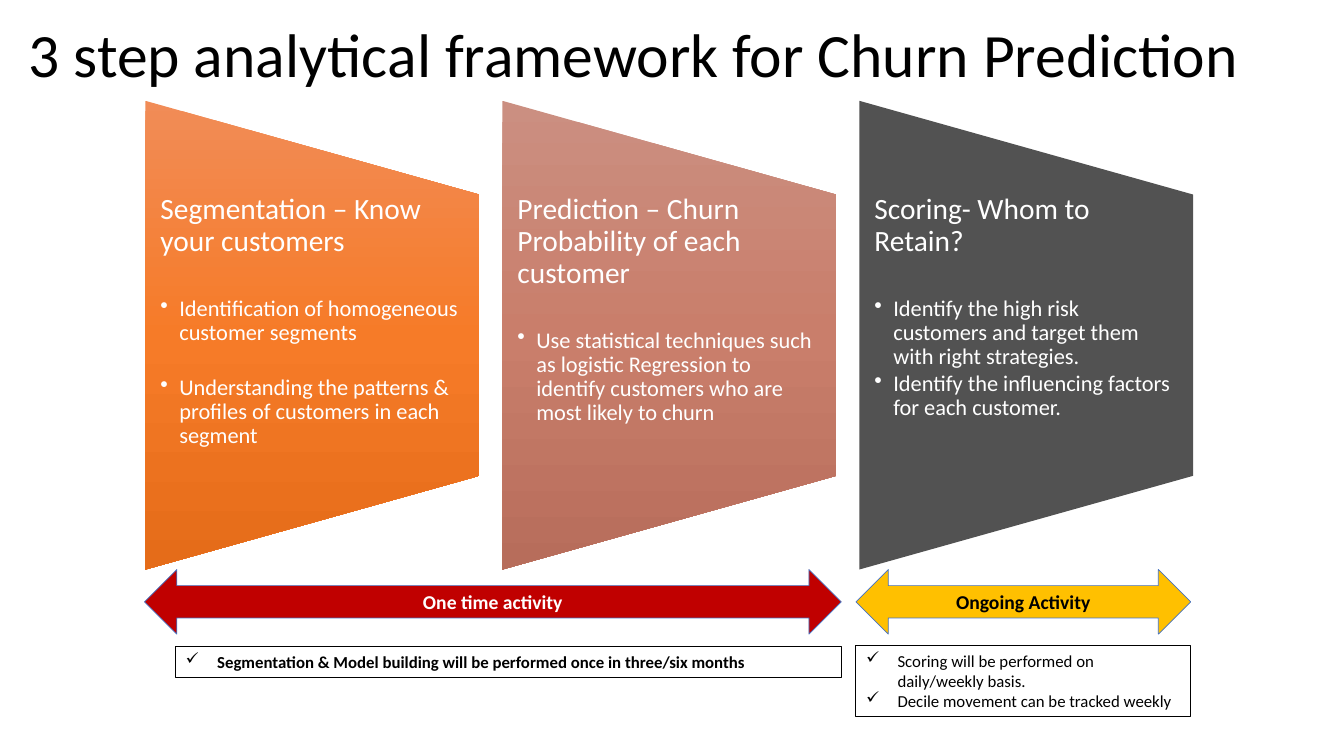
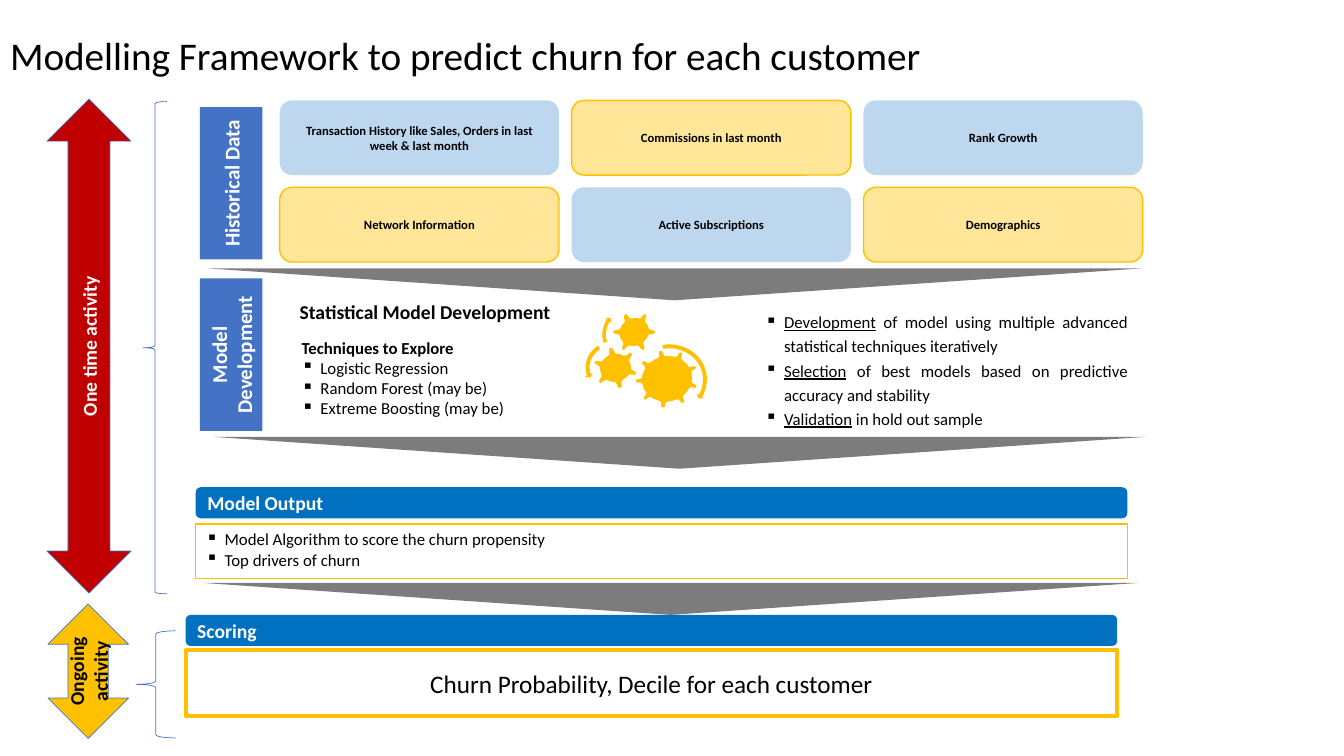
from copy import deepcopy

from lxml import etree
from pptx import Presentation
from pptx.dml.color import RGBColor
from pptx.enum.shapes import MSO_SHAPE
from pptx.enum.text import MSO_ANCHOR, MSO_AUTO_SIZE, PP_ALIGN
from pptx.oxml.ns import qn
from pptx.util import Inches, Pt

RECT, ROUND = MSO_SHAPE.RECTANGLE, MSO_SHAPE.ROUNDED_RECTANGLE
PANEL, ARROW = MSO_SHAPE.FLOWCHART_MANUAL_OPERATION, MSO_SHAPE.LEFT_RIGHT_ARROW
TRIANGLE, BRACE = MSO_SHAPE.ISOSCELES_TRIANGLE, MSO_SHAPE.LEFT_BRACE
GEAR_SIX, GEAR_NINE = MSO_SHAPE.GEAR_6, MSO_SHAPE.GEAR_9
ORBIT, LEFT_ORBIT = MSO_SHAPE.CIRCULAR_ARROW, MSO_SHAPE.LEFT_CIRCULAR_ARROW
LEFT, CENTER, JUSTIFY = PP_ALIGN.LEFT, PP_ALIGN.CENTER, PP_ALIGN.JUSTIFY
TOP, MIDDLE = MSO_ANCHOR.TOP, MSO_ANCHOR.MIDDLE

BLACK = RGBColor(0x00, 0x00, 0x00)
WHITE = RGBColor(0xFF, 0xFF, 0xFF)
RED = RGBColor(0xC0, 0x00, 0x00)
GOLD = RGBColor(0xFF, 0xC0, 0x00)
CREAM = RGBColor(0xFF, 0xE6, 0x99)
SKY = RGBColor(0xBD, 0xD7, 0xEE)
BLUE = RGBColor(0x44, 0x72, 0xC4)
BAR_BLUE = RGBColor(0x00, 0x70, 0xC0)
GRAY = RGBColor(0x7C, 0x7C, 0x7C)
CHARCOAL = RGBColor(0x52, 0x52, 0x52)
ORANGES = [RGBColor(0xF1, 0x8C, 0x57), RGBColor(0xF6, 0x7B, 0x28), RGBColor(0xE5, 0x6C, 0x19)]
ROSES = [RGBColor(0xCB, 0x8F, 0x81), RGBColor(0xC9, 0x7E, 0x6B), RGBColor(0xB7, 0x6D, 0x5B)]

COLUMNS, ROWS = 160, 90
FONT = "Calibri"
CHECK, SQUARE, DOT = "✓", "▪", "•"


class Board:
    """Holds the style and the current page, on a grid of 160 columns by 90 rows."""

    def __init__(self):
        self.deck = Presentation()
        self.deck.slide_width, self.deck.slide_height = Inches(13.33), Inches(7.5)
        self.page = None

    def x(self, columns):
        return round(self.deck.slide_width * columns / COLUMNS)

    def y(self, rows):
        return round(self.deck.slide_height * rows / ROWS)

    def area(self, left, top, width, height):
        return self.x(left), self.y(top), self.x(width), self.y(height)

    def new_page(self, title, size, left, width, inset):
        self.page = self.deck.slides.add_slide(self.deck.slide_layouts[5])
        box = self.page.shapes.title
        box.left, box.top, box.width, box.height = self.area(left, 1.7, width, 10.3)
        self.frame(box, MIDDLE, inset)
        self.para(box, title, size, spacing=0.9)

    def frame(self, box, anchor, inset=1.2, inset_rows=0.6):
        frame = box.text_frame
        frame.word_wrap, frame.auto_size = True, MSO_AUTO_SIZE.NONE
        frame.vertical_anchor = anchor
        frame.margin_left = frame.margin_right = self.x(inset)
        frame.margin_top = frame.margin_bottom = self.y(inset_rows)

    def para(self, box, text, size, color=BLACK, bold=False, align=LEFT, bullet=None,
             indent=2.25, spacing=1.0, after=0, lead=""):
        frame = box.text_frame
        para = frame.paragraphs[0] if not frame.text else frame.add_paragraph()
        para.alignment, para.line_spacing, para.space_after = align, spacing, Pt(after)
        if bullet:
            settings = para._p.get_or_add_pPr()
            settings.set("marL", str(self.x(indent)))
            settings.set("indent", str(-self.x(indent)))
            etree.SubElement(settings, qn("a:buChar")).set("char", bullet)
        for words, underline in ((lead, True), (text, False)):
            if words:
                span = para.add_run()
                span.text = words
                span.font.name, span.font.size = FONT, Pt(size)
                span.font.color.rgb, span.font.bold = color, bold
                span.font.underline = underline

    def shape(self, kind, area, fill=None, line=None, weight=0.5, turn=0, adjust=()):
        left, top, width, height = self.area(*area)
        if turn == 270:
            left, top = left + (width - height) // 2, top + (height - width) // 2
            width, height = height, width
        shape = self.page.shapes.add_shape(kind, left, top, width, height)
        shape.shadow.inherit = False
        shape.rotation = turn
        for index, value in enumerate(adjust):
            shape.adjustments[index] = value
        if isinstance(fill, list):
            self.gradient(shape, fill)
        elif fill is None:
            shape.fill.background()
        else:
            shape.fill.solid()
            shape.fill.fore_color.rgb = fill
        if line is None:
            shape.line.fill.background()
        else:
            shape.line.color.rgb, shape.line.width = line, Pt(weight)
        return shape

    def gradient(self, shape, colors):
        shape.fill.gradient()
        shape.fill.gradient_angle = 270
        element = shape._element.spPr.find(qn("a:gradFill"))
        element.set("rotWithShape", "0")
        stops = element.find(qn("a:gsLst"))
        stops.insert(1, deepcopy(stops[0]))
        for index, (stop, color) in enumerate(zip(shape.fill.gradient_stops, colors)):
            stop.color.rgb, stop.position = color, index / 2

    def label(self, kind, area, text, size, color=BLACK, bold=True, align=CENTER, **look):
        shape = self.shape(kind, area, **look)
        self.frame(shape, MIDDLE)
        self.para(shape, text, size, color, bold, align)
        return shape

    def side_label(self, area, text):
        shape = self.label(RECT, area, text, 15, WHITE, fill=BLUE)
        shape.text_frame._txBody.bodyPr.set("vert", "vert270")

    def listing(self, area, items, bullet, indent=2.25, bold=False, line=BLACK, weight=0.75):
        shape = self.shape(RECT, area, line=line, weight=weight)
        self.frame(shape, TOP)
        for item in items:
            self.para(shape, item, 12, bold=bold, bullet=bullet, indent=indent)

    def text_box(self, area, anchor=MIDDLE, inset=1.2, inset_rows=0.6):
        box = self.page.shapes.add_textbox(*self.area(*area))
        self.frame(box, anchor, inset, inset_rows)
        return box

    def step(self, left, fill, heading, points, gap):
        self.shape(PANEL, (left, 12, 39.75, 55.8), fill, turn=270)
        box = self.text_box((left, 23.15, 39.5, 33.5), TOP, 1.8, 0)
        self.para(box, heading, 21, WHITE, spacing=0.9, after=28)
        for point in points:
            self.para(box, point, 16, WHITE, bullet=DOT, spacing=0.9, after=gap)


def build_steps(board):
    board.new_page("3 step analytical framework for Churn Prediction", 44, 1.8, 156.75, 1.6)
    steps = [
        (ORANGES, "Segmentation – Know your customers",
         ["Identification of homogeneous customer segments",
          "Understanding the patterns & profiles of customers in each segment"], 22),
        (ROSES, "Prediction – Churn Probability of each customer",
         ["Use statistical techniques such as logistic Regression to identify customers "
          "who are most likely to churn"], 2),
        (CHARCOAL, "Scoring- Whom to Retain?",
         ["Identify the high risk customers and target them with right strategies.",
          "Identify the influencing factors for each customer."], 2),
    ]
    for index, step in enumerate(steps):
        board.step(17.3 + 42.5 * index, *step)
    board.listing((20.9, 77, 79.3, 3.7),
                  ["Segmentation & Model building will be performed once in three/six months"],
                  CHECK, 3.75, bold=True)
    board.listing((101.9, 76.85, 39.85, 8.5),
                  ["Scoring will be performed on daily/weekly basis.",
                   "Decile movement can be tracked weekly"], CHECK, 3.75)
    board.label(ARROW, (17.2, 67.8, 82.95, 7.7), "One time activity", 14, WHITE,
                fill=RED, line=BLUE)
    board.label(ARROW, (101.9, 67.8, 39.85, 7.7), "Ongoing Activity", 14, fill=GOLD, line=BLUE)


def build_gears(board):
    for kind, area, turn in ((GEAR_NINE, (75.5, 41.5, 7.8, 7.2), 346.8),
                             (GEAR_SIX, (70.45, 41.15, 5.65, 5.3), 346.8),
                             (GEAR_SIX, (72.75, 36.95, 5.5, 5.15), 331.8)):
        board.shape(kind, area, GOLD, WHITE, 2, turn)
    for kind, area, adjust in (
            (ORBIT, (74.55, 40.7, 9.95, 9.25), (0.05, 2.99, 22.97, 164.62, 0.06)),
            (LEFT_ORBIT, (69.4, 40.3, 7.2, 6.7), (0.07, 4.3, 104.89, 148.38, 0.08)),
            (ORBIT, (71.4, 36.1, 7.8, 7.2), (0.06, 3.94, 133.14, 105.08, 0.07))):
        board.shape(kind, area, GOLD, turn=346.8, adjust=adjust)


def build_framework(board):
    board.new_page("Modelling Framework to predict churn for each customer", 28, 0, 154.9, 1.2)
    for left, top in ((24.75, 31.95), (25.3, 52), (24.25, 69.4)):
        board.shape(TRIANGLE, (left, top, 111.15, 3.8), GRAY, turn=180)
    for top, name in ((12.75, "Historical Data"), (33.15, "Model Development")):
        board.side_label((23.8, top, 7.45, 18.15), name)

    sources = ["Transaction History like Sales, Orders in last week & last month",
               "Commissions in last month", "Rank Growth",
               "Network Information", "Active Subscriptions", "Demographics"]
    for index, source in enumerate(sources):
        row, column = divmod(index, 3)
        fill, line = ((SKY, None), (CREAM, GOLD))[index % 2]
        board.label(ROUND, (33.3 + 34.75 * column, 11.95 + 10.35 * row, 33.25, 8.9),
                    source, 9, fill=fill, line=line, weight=1)

    heading = board.text_box((33.85, 35.2, 33.5, 3.7))
    board.para(heading, "Statistical Model Development", 14, bold=True, align=CENTER)
    techniques = board.text_box((34.7, 38.65, 30.25, 12.7))
    board.para(techniques, "Techniques to Explore", 12, bold=True)
    for name in ("Logistic Regression", "Random Forest (may be)", "Extreme Boosting (may be)"):
        board.para(techniques, name, 12, bullet=SQUARE)
    build_gears(board)
    stages = board.text_box((89.9, 35.4, 45.6, 16.9))
    for lead, text in (
            ("Development", " of model using multiple advanced statistical techniques iteratively"),
            ("Selection", " of best models based on predictive accuracy and stability"),
            ("Validation", " in hold out sample")):
        board.para(stages, text, 12, align=JUSTIFY, bullet=SQUARE, spacing=1.2, lead=lead)

    for left, top, name in ((23.3, 58, "Model Output"), (22.1, 73.2, "Scoring")):
        board.label(ROUND, (left, top, 110.9, 3.7), name, 14, WHITE, align=LEFT, fill=BAR_BLUE)
    board.listing((23.3, 62.4, 110.9, 6.5),
                  ["Model Algorithm to score the churn propensity", "Top drivers of churn"],
                  SQUARE, line=GOLD, weight=1)
    board.label(RECT, (22.1, 77.4, 110.9, 7.8), "Churn Probability, Decile for each customer",
                18, bold=False, line=GOLD, weight=3)

    for area in ((17.05, 12.1, 2.8, 58.6), (16.2, 75.1, 4.7, 12.75)):
        board.shape(BRACE, area, line=BLUE)
    board.label(ARROW, (5.6, 11.8, 10, 58.8), "One time activity", 14, WHITE,
                fill=RED, line=BLUE, turn=270)
    board.label(ARROW, (5.7, 71.9, 9.6, 16), "Ongoing activity", 14,
                fill=GOLD, line=BLUE, turn=270)


def main():
    board = Board()
    build_steps(board)
    build_framework(board)
    board.deck.save("out.pptx")


if __name__ == "__main__":
    main()
